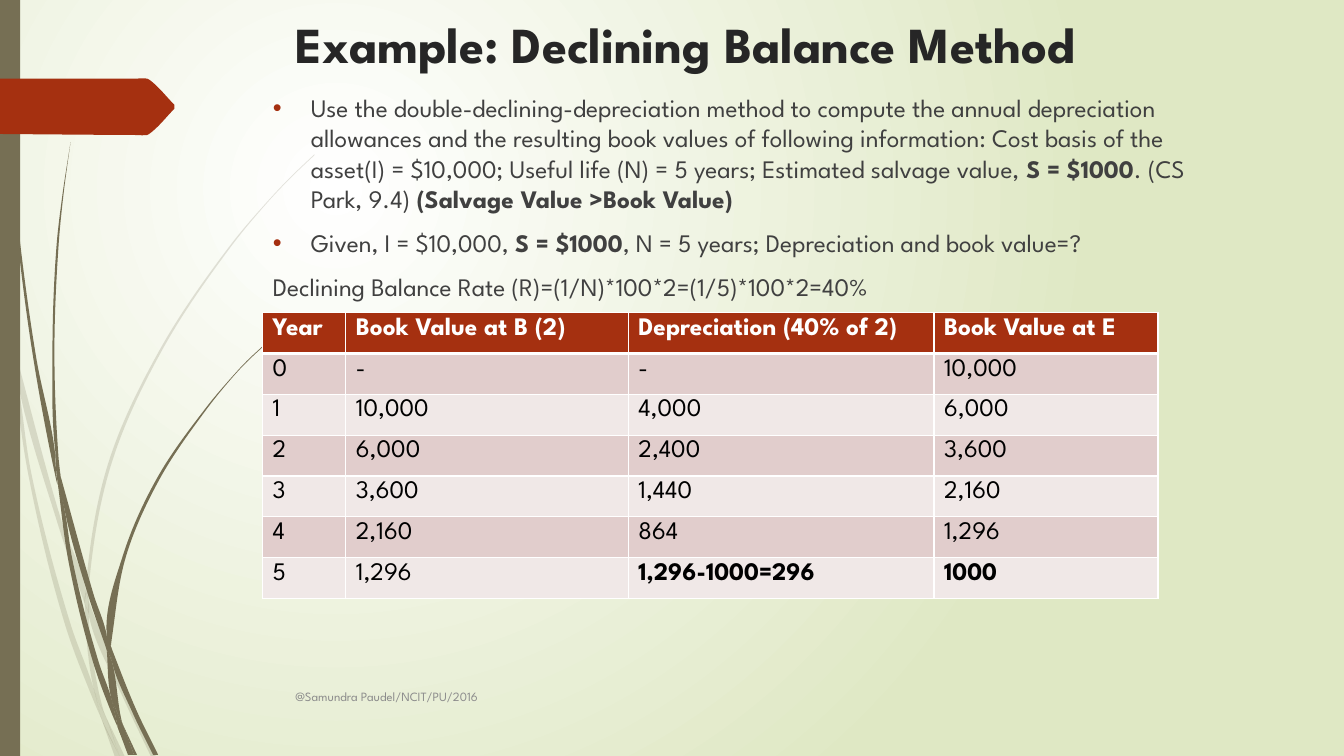
from dataclasses import dataclass

from lxml import etree
from pptx import Presentation
from pptx.dml.color import RGBColor
from pptx.enum import shapes, text
from pptx.oxml import parse_xml
from pptx.oxml.ns import qn
from pptx.util import Pt

NS = 'xmlns:a="http://schemas.openxmlformats.org/drawingml/2006/main"'
NSP = 'xmlns:p="http://schemas.openxmlformats.org/presentationml/2006/main"'


@dataclass(frozen=True)
class Theme:
    face: str = "League Spartan"
    big: int = 36
    body: int = 18
    small: int = 9
    red: str = "A53010"
    olive: str = "766F54"
    title: str = "262626"
    ink: str = "404040"
    grey: str = "8C8C8C"
    white: str = "FFFFFF"
    black: str = "000000"
    pale: str = "DFE8C4"
    bands: tuple = ("E1CDCC", "F0E8E7")


T = Theme()

# Outlines as x y pairs on a grid of UNIT points
UNIT = 0.72
FAINT = [
    "11 350 9 322 0 282 0 299 10 344",
    "58 522 84 599 85 586 62 520 14 345 17 376",
    "92 607 88 596 88 610 123 694 150 751 155 751 127 692",
    "119 751 124 751 105 711",
    "93 683 70 619 31 469 17 376 11 350 28 470 65 621 92 693 101 714 99 707",
    "84 599 87 646 93 683 96 692 105 711 103 706 91 646 88 610 88 608",
    "88 584 110 462 160 349 229 245 268 198 290 175 312 154 312 153 289 175 "
    "268 197 228 244 158 348 107 461 85 584 85 586 88 596",
    "101 714 114 751 119 751",
    "88 608 88 610 88 596 85 586 84 599",
    "96 692 93 683 99 707 101 714 119 751 105 711",
]
DARK = [
    "7 110 17 233 33 355 56 477 57 481 55 457 55 453 36 355 19 232 8 109 "
    "5 48 4 0 3 0 4 48",
    "88 592 106 645 106 633 106 631 93 590 60 472 64 505",
    "113 649 110 641 111 656 132 708 152 749 157 749 136 706",
    "110 691 98 657 72 556 64 505 57 477 68 557 93 659 111 708 117 722 116 717",
    "60 472 58 453 54 349 58 245 63 193 70 141 62 193 56 245 52 349 55 449",
    "133 749 136 749 122 719",
    "57 477 64 505 60 472 55 449 55 453",
    "111 633 125 552 158 476 205 406 231 374 245 359 261 344 260 344 245 358 "
    "231 373 204 405 156 474 122 551 106 631 110 641",
    "117 722 127 749 131 749",
    "106 645 110 691 116 706 122 719 121 716 111 656 109 651",
    "106 645 109 651 111 656 110 641 106 631 106 633",
    "116 706 110 691 116 717 117 722 130 749 133 749 122 719",
]
TAG = "173 108 148 133 146 134 136 134 0 133 0 78 136 78 146 78 148 79 173 104"

# Text between bars is bold
TASK = [
    "Use the double-declining-depreciation method to compute the annual "
    "depreciation allowances and the resulting book values of following "
    "information: Cost basis of the asset(I) = $10,000; Useful life (N) = 5 "
    "years; Estimated salvage value, |S = $1000|. (CS Park, 9.4) "
    "|(Salvage Value >Book Value)|",
    "Given, I = $10,000, |S = $1000|, N = 5 years; Depreciation and book "
    "value=?",
    "Declining Balance Rate (R)=(1/N)*100*2=(1/5)*100*2=40%",
]
ROWS = [
    ["|Year|", "|Book Value at B (2)|", "|Depreciation (40% of 2)|",
     "|Book Value at E|"],
    ["0", "-", "-", "10,000"],
    ["1", "10,000", "4,000", "6,000"],
    ["2", "6,000", "2,400", "3,600"],
    ["3", "3,600", "1,440", "2,160"],
    ["4", "2,160", "864", "1,296"],
    ["5", "1,296", "|1,296-1000=296|", "|1000|"],
]


def paint(shape, code):
    shape.shadow.inherit = False
    shape.fill.solid()
    shape.fill.fore_color.rgb = RGBColor.from_string(code)
    shape.line.fill.background()


def write(para, words, size, code):
    font = para.font
    font.name, font.size = T.face, Pt(size)
    font.color.rgb = RGBColor.from_string(code)
    for i, part in enumerate(words.split("|")):
        if part:
            run = para.add_run()
            run.text = part
            run.font.bold = i % 2 == 1


def backdrop(slide):
    stops = "".join(
        f'<a:gs pos="{pos}"><a:srgbClr val="{code}"/></a:gs>'
        for pos, code in ((0, T.white), (100000, T.pale)))
    slide.element.cSld.insert(0, parse_xml(
        f'<p:bg {NS} {NSP}><p:bgPr><a:gradFill rotWithShape="1">'
        f'<a:gsLst>{stops}</a:gsLst><a:path path="circle"><a:fillToRect '
        'l="50000" t="50000" r="100000" b="100000"/></a:path></a:gradFill>'
        '<a:effectLst/></p:bgPr></p:bg>'))


def bend(shape):
    """Turn the sides of a closed outline into curves, keeping sharp corners."""
    sides = list(shape.element.iter(qn("a:lnTo")))
    ends = [complex(int(side[0].get("x")), int(side[0].get("y")))
            for side in sides]
    runs = [end - ends[i - 1] for i, end in enumerate(ends)]
    ways = [run / abs(run) for run in runs]

    def lean(i, way):
        """Direction of the curve at the end of side i."""
        a, b = ways[i], ways[(i + 1) % len(ways)]
        soft = (a * b.conjugate()).real > 0.8
        return (a + b) / abs(a + b) if soft else way

    for i, side in enumerate(sides):
        third = abs(runs[i]) / 3
        near = ends[i - 1] + third * lean(i - 1, ways[i])
        far = ends[i] - third * lean(i, ways[i])
        side.tag = qn("a:cubicBezTo")
        for at, knob in enumerate((near, far)):
            side.insert(at, parse_xml(
                f'<a:pt {NS} x="{round(knob.real)}" y="{round(knob.imag)}"/>'))


def leaf(slide, box, pairs, code, alpha=None):
    left, top = box
    nums = [float(num) * UNIT for num in pairs.split()]
    edge = [(Pt(left + x), Pt(top + y)) for x, y in zip(nums[::2], nums[1::2])]
    build = slide.shapes.build_freeform(*edge[0])
    build.add_line_segments(edge[1:] + edge[:1], close=True)
    shape = build.convert_to_shape()
    bend(shape)
    paint(shape, code)
    if alpha:
        tint = shape.element.spPr.find(".//" + qn("a:srgbClr"))
        etree.SubElement(tint, qn("a:alpha")).set("val", str(alpha * 1000))


def margin(slide, box):
    """Grass, side bar and red tag."""
    left, top, high = box
    for pairs in FAINT:
        leaf(slide, (left, top), pairs, T.olive, 20)
    for pairs in DARK:
        leaf(slide, (left, top), pairs, T.olive)
    bar = slide.shapes.add_shape(
        shapes.MSO_SHAPE.RECTANGLE, Pt(left), Pt(top), Pt(14.4), Pt(high))
    paint(bar, T.olive)
    leaf(slide, (left, top), TAG, T.red)


def prose(slide, box, lines, size, code, gap=0, dots=0,
          anchor=text.MSO_ANCHOR.TOP):
    """Text box whose first few lines, counted by dots, have bullets."""
    frame = slide.shapes.add_textbox(*map(Pt, box)).text_frame
    frame.word_wrap, frame.vertical_anchor = True, anchor
    for i, words in enumerate(lines):
        para = frame.add_paragraph() if i else frame.paragraphs[0]
        para.space_before = Pt(gap)
        write(para, words, size, code)
        if i < dots:
            props = para._p.get_or_add_pPr()
            props.set("marL", str(Pt(27)))
            props.set("indent", str(-Pt(27)))
            marks = (f'<a:buClr {NS}><a:srgbClr val="{T.red}"/></a:buClr>',
                     f'<a:buFont {NS} typeface="Arial"/>',
                     f'<a:buChar {NS} char="•"/>')
            for at, mark in enumerate(marks, 1):
                props.insert(at, parse_xml(mark))


def border(cell, head):
    for side in "LRTB":
        wide = Pt(3 if head and side == "B" else 1)
        cell._tc.get_or_add_tcPr().append(parse_xml(
            f'<a:ln{side} {NS} w="{wide}"><a:solidFill><a:srgbClr '
            f'val="{T.white}"/></a:solidFill></a:ln{side}>'))


def ledger(slide, box, cols, rows):
    grid = slide.shapes.add_table(
        len(rows), len(cols), *map(Pt, box)).table
    for col, wide in zip(grid.columns, cols):
        col.width = Pt(wide)
    for r, row in enumerate(rows):
        fill = T.bands[(r - 1) % 2] if r else T.red
        for c, words in enumerate(row):
            cell = grid.cell(r, c)
            border(cell, r == 0)
            cell.fill.solid()
            cell.fill.fore_color.rgb = RGBColor.from_string(fill)
            write(cell.text_frame.paragraphs[0], words, T.body,
                  T.black if r else T.white)


def main():
    deck = Presentation()
    deck.slide_width, deck.slide_height = Pt(960), Pt(540)
    slide = deck.slides.add_slide(deck.slide_layouts[6])
    backdrop(slide)
    margin(slide, (0, 0, 540))
    prose(slide, (203.8, 5.8, 702, 100.8),
          ["|Example: Declining Balance Method|"], T.big, T.title)
    prose(slide, (187.9, 62.6, 702, 168.5), TASK, T.body, T.ink, 10, 2)
    prose(slide, (203.8, 483.1, 600, 28.8), ["@Samundra Paudel/NCIT/PU/2016"],
          T.small, T.grey, anchor=text.MSO_ANCHOR.MIDDLE)
    cols = (59.5, 201.8, 218.4, 160)
    ledger(slide, (187.5, 223.2, sum(cols), 204.4), cols, ROWS)
    deck.save("out.pptx")


if __name__ == "__main__":
    main()
